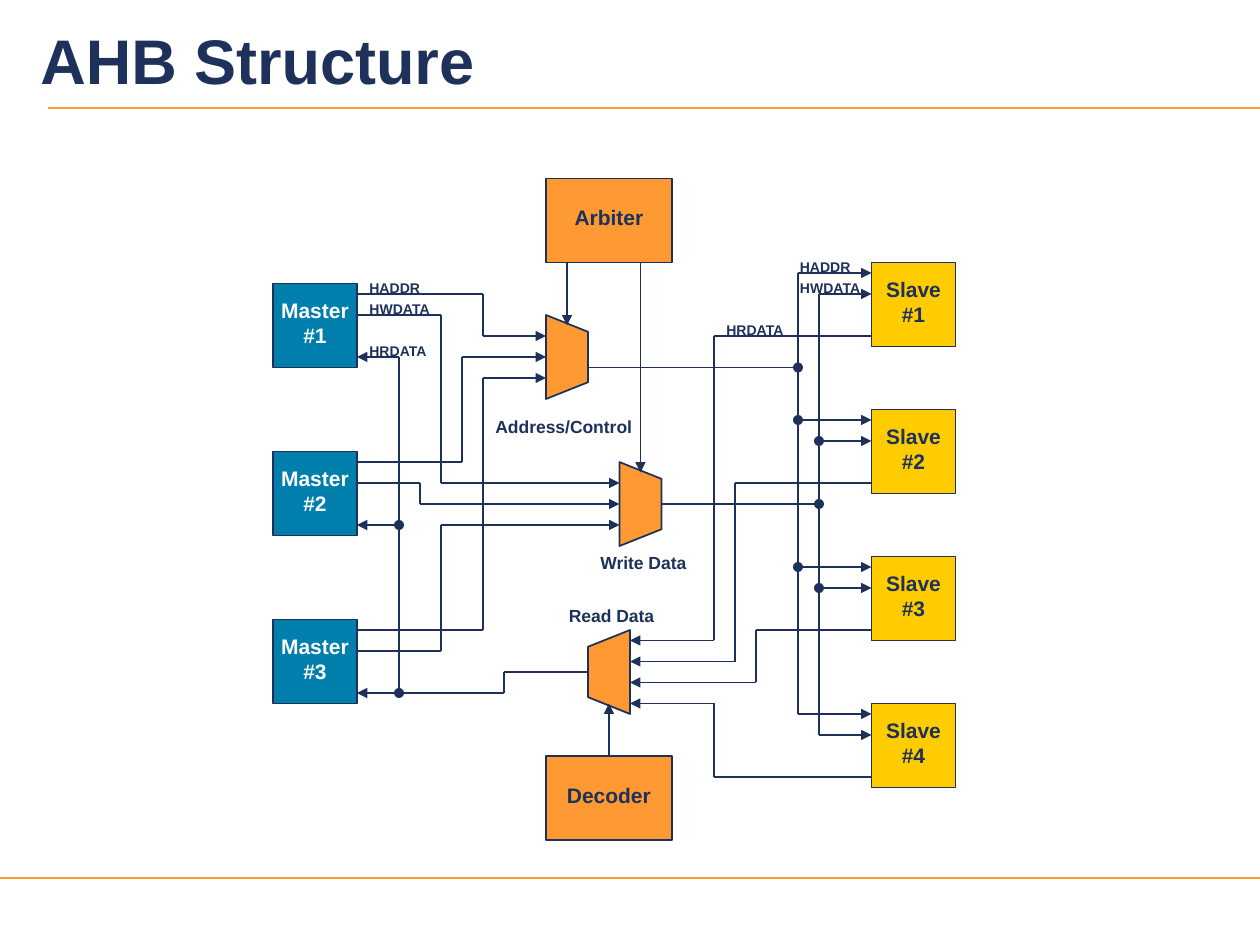
from dataclasses import dataclass

from lxml.etree import SubElement
from pptx import Presentation
from pptx.dml.color import RGBColor
from pptx.enum.shapes import MSO_CONNECTOR as Line, MSO_SHAPE as Shape
from pptx.enum.text import MSO_ANCHOR as Anchor, MSO_AUTO_SIZE as Fit, PP_ALIGN as Align
from pptx.oxml.ns import qn
from pptx.util import Inches, Pt


@dataclass(frozen=True)
class Theme:
    font: str = "Arial"
    navy: str = "1D315B"
    orange: str = "FF9933"
    yellow: str = "FFCC00"
    teal: str = "007FAC"
    white: str = "FFFFFF"
    title: int = 36
    block: int = 12
    caption: int = 10
    signal: int = 8


THEME = Theme()
MASTER_PITCH, SLAVE_PITCH = 8, 7


def grid(units):
    """The diagram is laid out on a grid of sixths of an inch."""
    return Inches(units / 6)


def write(frame, text, size, color=THEME.navy, align=Align.LEFT, anchor=Anchor.TOP, wrap=True):
    frame.word_wrap = wrap
    frame.vertical_anchor = anchor
    for index, line in enumerate(text.split("\n")):
        para = frame.paragraphs[0] if index == 0 else frame.add_paragraph()
        para.alignment = align
        span = para.add_run()
        span.text = line
        span.font.name = THEME.font
        span.font.size = Pt(size)
        span.font.bold = True
        span.font.color.rgb = RGBColor.from_string(color)


def add_filled(page, kind, left, top, width, height, fill, outline=True):
    shape = page.shapes.add_shape(kind, left, top, width, height)
    shape.shadow.inherit = False
    shape.fill.solid()
    shape.fill.fore_color.rgb = RGBColor.from_string(fill)
    if outline:
        shape.line.color.rgb = RGBColor.from_string(THEME.navy)
        shape.line.width = Pt(1)
    else:
        shape.line.fill.background()
    return shape


def add_block(page, text, left, top, width, fill, color=THEME.navy):
    box = add_filled(page, Shape.RECTANGLE, grid(left), grid(top), grid(width), grid(4), fill)
    frame = box.text_frame
    frame.margin_left = frame.margin_right = frame.margin_top = 0
    frame.margin_bottom = Inches(0.05)
    write(frame, text, THEME.block, color, Align.CENTER, Anchor.MIDDLE)
    return box


def add_mux(page, left, top, rotation):
    mux = add_filled(page, Shape.FLOWCHART_MANUAL_OPERATION,
                     grid(left), grid(top), grid(4), grid(2), THEME.orange)
    mux.rotation = rotation


def add_dot(page, x, y):
    size = Inches(0.08)
    add_filled(page, Shape.OVAL, grid(x) - size // 2, grid(y) - size // 2,
               size, size, THEME.navy, outline=False)


def add_label(page, text, left, top, width, height, size):
    box = page.shapes.add_textbox(grid(left), grid(top), Inches(width), Inches(height))
    write(box.text_frame, text, size, wrap=False)
    box.text_frame.auto_size = Fit.SHAPE_TO_FIT_TEXT


def add_line(page, start, end, color=THEME.navy, width=1, arrow=False):
    line = page.shapes.add_connector(Line.STRAIGHT, *start, *end)
    line.line.color.rgb = RGBColor.from_string(color)
    line.line.width = Pt(width)
    if arrow:
        SubElement(line.line._get_or_add_ln(), qn("a:tailEnd"), type="triangle")
    SubElement(line._element.spPr, qn("a:effectLst"))
    return line


def add_wire(page, *points, arrow=True):
    """Draw straight segments through grid points, with the arrow on the last one."""
    ends = [(grid(x), grid(y)) for x, y in points]
    last = len(ends) - 2
    return [add_line(page, start, end, arrow=arrow and index == last)
            for index, (start, end) in enumerate(zip(ends, ends[1:]))]


def add_frame(page):
    add_line(page, (Inches(0.38), Inches(0.86)), (Inches(10), Inches(0.86)), THEME.orange)
    add_line(page, (0, Inches(6.97)), (Inches(10), Inches(6.97)), THEME.orange, 1.5)
    title = page.shapes.add_textbox(Inches(0.23), Inches(0.01), Inches(9.77), Inches(0.92))
    frame = title.text_frame
    frame.margin_left = frame.margin_right = Inches(0.09)
    frame.margin_top = frame.margin_bottom = Inches(0.04)
    write(frame, "AHB Structure", THEME.title, anchor=Anchor.MIDDLE)


def add_blocks(page):
    for index in range(3):
        add_block(page, f"Master\n#{index + 1}", 13, 13.5 + MASTER_PITCH * index, 4,
                  THEME.teal, THEME.white)
    for index in range(4):
        add_block(page, f"Slave\n#{index + 1}", 41.5, 12.5 + SLAVE_PITCH * index, 4, THEME.yellow)
    add_block(page, "Arbiter", 26, 8.5, 6, THEME.orange)
    decoder = add_block(page, "Decoder", 26, 36, 6, THEME.orange)
    for left, top, rotation in ((25, 16, 270), (28.5, 23, 270), (27, 31, 90)):
        add_mux(page, left, top, rotation)
    return decoder


def add_wires(page, decoder):
    # Select lines
    add_wire(page, (27, 12.5), (27, 15.5))
    add_wire(page, (30.5, 12.5), (30.5, 22.5))
    select = add_wire(page, (29, 36), (29, 33.5))[0]
    select.begin_connect(decoder, 0)

    # Masters to the address and write multiplexers
    for out_y, turn_x, in_y in ((14, 23, 16), (22, 22, 17), (30, 23, 18)):
        add_wire(page, (17, out_y), (turn_x, out_y), (turn_x, in_y), (26, in_y))
    for out_y, turn_x, in_y in ((15, 21, 23), (23, 20, 24), (31, 21, 25)):
        add_wire(page, (17, out_y), (turn_x, out_y), (turn_x, in_y), (29.5, in_y))

    # Address and write buses to the slaves
    for bus_x, first_y, mux_x, mux_y in ((38, 13, 28, 17.5), (39, 14, 31.5, 24)):
        add_wire(page, (mux_x, mux_y), (bus_x, mux_y), arrow=False)
        add_wire(page, (bus_x, first_y), (bus_x, first_y + 3 * SLAVE_PITCH), arrow=False)
        for index in range(4):
            y = first_y + SLAVE_PITCH * index
            add_wire(page, (bus_x, y), (41.5, y))

    # Slaves to the read multiplexer
    for index, (turn_x, in_y) in enumerate(((34, 30.5), (35, 31.5), (36, 32.5), (34, 33.5))):
        out_y = 16 + SLAVE_PITCH * index
        add_wire(page, (41.5, out_y), (turn_x, out_y), (turn_x, in_y), (30, in_y))

    # Read bus back to the masters
    add_wire(page, (28, 32), (24, 32), (24, 33), (19, 33), (19, 17), arrow=False)
    for index in range(3):
        y = 17 + MASTER_PITCH * index
        add_wire(page, (19, y), (17, y))

    # Junctions
    for x, y in ((38, 17.5), (38, 20), (38, 27), (39, 21), (39, 24), (39, 28), (19, 25), (19, 33)):
        add_dot(page, x, y)


def add_labels(page):
    widths = {"HADDR": 0.6, "HWDATA": 0.69, "HRDATA": 0.67}
    for text, left, top in (("HADDR", 17, 13), ("HWDATA", 17, 14), ("HRDATA", 17, 16),
                            ("HADDR", 37.5, 12), ("HWDATA", 37.5, 13), ("HRDATA", 34, 15)):
        add_label(page, text, left, top, widths[text], 0.23, THEME.signal)
    for text, left, top, width in (("Address/Control", 23, 19.5, 1.29),
                                   ("Write Data", 28, 26, 0.89), ("Read Data", 26.5, 28.5, 0.88)):
        add_label(page, text, left, top, width, 0.27, THEME.caption)


def main():
    deck = Presentation()
    deck.slide_width, deck.slide_height = Inches(10), Inches(7.5)
    page = deck.slides.add_slide(deck.slide_layouts[6])
    add_frame(page)
    decoder = add_blocks(page)
    add_wires(page, decoder)
    add_labels(page)
    deck.save("out.pptx")


if __name__ == "__main__":
    main()
